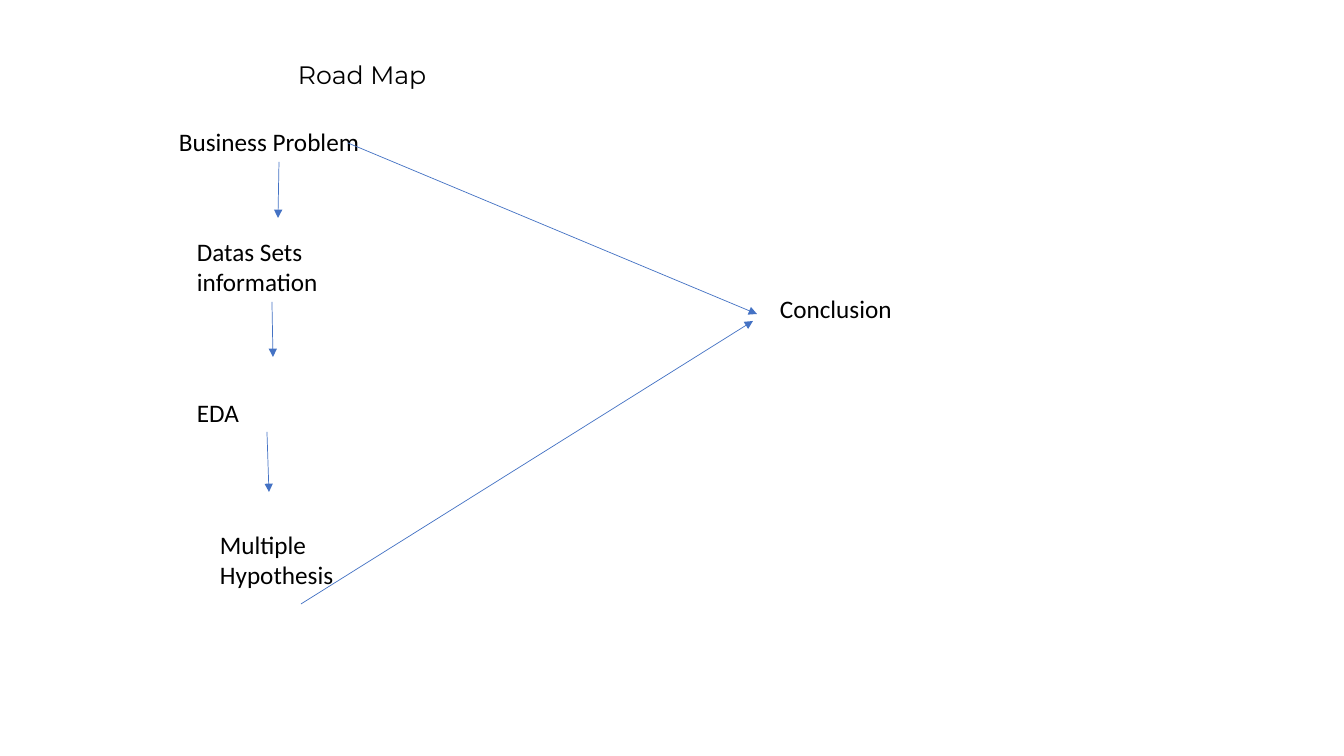
from lxml import etree
from pptx import Presentation
from pptx.dml.color import RGBColor
from pptx.enum.shapes import MSO_CONNECTOR
from pptx.oxml.ns import qn
from pptx.util import Pt

STRAIGHT = MSO_CONNECTOR.STRAIGHT
BLACK = RGBColor(0x00, 0x00, 0x00)
BLUE = RGBColor(0x44, 0x72, 0xC4)
PX = 914400 / 100.8

LABELS = [
    ("Road Map", "Montserrat", (288, 54, 457, 40)),
    ("Business Problem", "Calibri", (169, 121, 221, 40)),
    ("Datas Sets information", "Calibri", (187, 231, 169, 72)),
    ("EDA", "Calibri", (187, 392, 160, 40)),
    ("Multiple Hypothesis", "Calibri", (210, 524, 153, 102)),
    ("Conclusion", "Calibri", (770, 288, 167, 40)),
]
ARROWS = [
    (279, 162, 278, 218),
    (272, 302, 273, 357),
    (267, 432, 269, 492),
    (301, 604, 753, 321),
    (348, 143, 757, 314),
]


def emu(lengths):
    return [round(n * PX) for n in lengths]


def add_label(s, text, font, box):
    tf = s.shapes.add_textbox(*emu(box)).text_frame
    tf.word_wrap = True
    tf.text = text
    r = tf.paragraphs[0].runs[0]
    r.font.name = font
    r.font.size = Pt(18)
    r.font.color.rgb = BLACK


def add_arrow(s, ends):
    arrow = s.shapes.add_connector(STRAIGHT, *emu(ends))
    arrow.line.color.rgb = BLUE
    arrow.line.width = Pt(0.5)
    etree.SubElement(arrow.line._get_or_add_ln(), qn("a:tailEnd"), type="triangle")
    etree.SubElement(arrow._element.spPr, qn("a:effectLst"))


def main():
    prs = Presentation()
    prs.slide_width, prs.slide_height = emu((1344, 756))
    s = prs.slides.add_slide(prs.slide_layouts[6])
    for text, font, box in LABELS:
        add_label(s, text, font, box)
    for ends in ARROWS:
        add_arrow(s, ends)
    prs.save("out.pptx")


if __name__ == "__main__":
    main()
